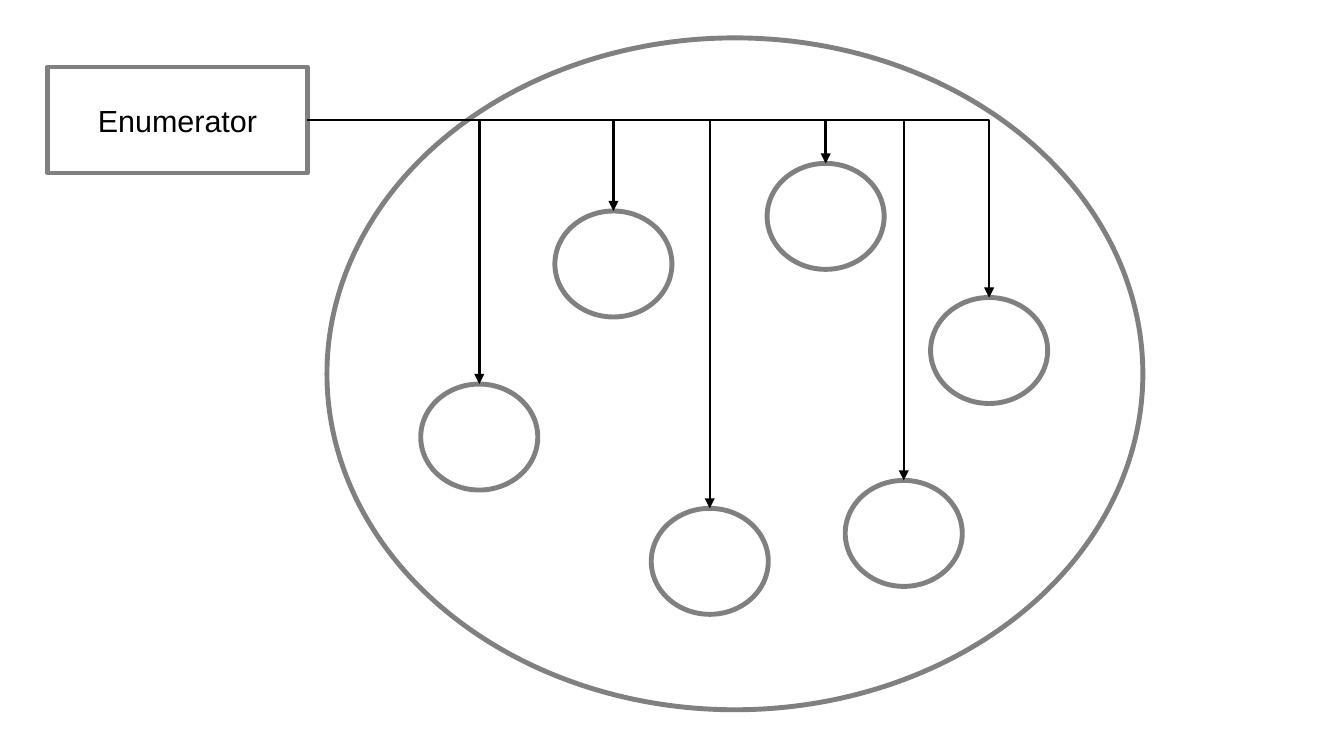
from dataclasses import dataclass

from lxml import etree
from pptx import Presentation
from pptx.dml.color import RGBColor
from pptx.enum.shapes import MSO_CONNECTOR, MSO_SHAPE
from pptx.enum.text import MSO_ANCHOR, PP_ALIGN
from pptx.oxml.ns import qn
from pptx.util import Pt

ELLIPSE = MSO_SHAPE.OVAL
RECTANGLE = MSO_SHAPE.RECTANGLE
ELBOW = MSO_CONNECTOR.ELBOW
MIDDLE = MSO_ANCHOR.MIDDLE
CENTER = PP_ALIGN.CENTER
TOP, RIGHT = 0, 3


@dataclass(frozen=True)
class Theme:
    outline: RGBColor = RGBColor(0x80, 0x80, 0x80)
    ink: RGBColor = RGBColor(0, 0, 0)
    font: str = "Arial"
    label_size: float = 18
    outline_width: float = 2.89
    arrow_width: float = 1.45


class Diagram:
    def __init__(self, slide, theme):
        self.shapes = slide.shapes
        self.theme = theme

    def outline(self, kind, left, top, width, height):
        shape = self.shapes.add_shape(kind, Pt(left), Pt(top), Pt(width), Pt(height))
        shape.shadow.inherit = False
        shape.fill.background()
        shape.line.color.rgb = self.theme.outline
        shape.line.width = Pt(self.theme.outline_width)
        return shape

    def labelled_box(self, text, left, top, width, height):
        box = self.outline(RECTANGLE, left, top, width, height)
        frame = box.text_frame
        frame.word_wrap = False
        frame.vertical_anchor = MIDDLE
        frame.margin_left = frame.margin_right = Pt(8.5)
        frame.margin_top = frame.margin_bottom = Pt(5)
        label = frame.paragraphs[0]
        label.text = text
        label.alignment = CENTER
        label.font.name = self.theme.font
        label.font.size = Pt(self.theme.label_size)
        label.font.color.rgb = self.theme.ink
        return box

    def bent_arrow(self, source, target):
        arrow = self.shapes.add_connector(ELBOW, 0, 0, 0, 0)
        arrow.begin_connect(source, RIGHT)
        arrow.end_connect(target, TOP)
        arrow.line.color.rgb = self.theme.ink
        arrow.line.width = Pt(self.theme.arrow_width)
        properties = arrow._element.spPr
        properties.find(qn("a:prstGeom")).set("prst", "bentConnector2")
        etree.SubElement(properties.find(qn("a:ln")), qn("a:tailEnd"), type="triangle")
        etree.SubElement(properties, qn("a:effectLst"))


ITEM_SIZE = (69.1, 62.6)
ITEM_POSITIONS = [
    (327.6, 124.6),
    (549.4, 175.7),
    (499, 283.7),
    (384.5, 300.2),
    (248.4, 226.8),
    (452.9, 96.5),
]


def main():
    presentation = Presentation()
    presentation.slide_width = Pt(793.44)
    presentation.slide_height = Pt(446.4)
    slide = presentation.slides.add_slide(presentation.slide_layouts[6])
    diagram = Diagram(slide, Theme())

    diagram.outline(ELLIPSE, 193, 22.4, 481.7, 396.7)
    items = [diagram.outline(ELLIPSE, *position, *ITEM_SIZE) for position in ITEM_POSITIONS]
    enumerator = diagram.labelled_box("Enumerator", 28.1, 39.6, 153.4, 62.6)
    for item in items:
        diagram.bent_arrow(enumerator, item)

    presentation.save("out.pptx")


if __name__ == "__main__":
    main()
